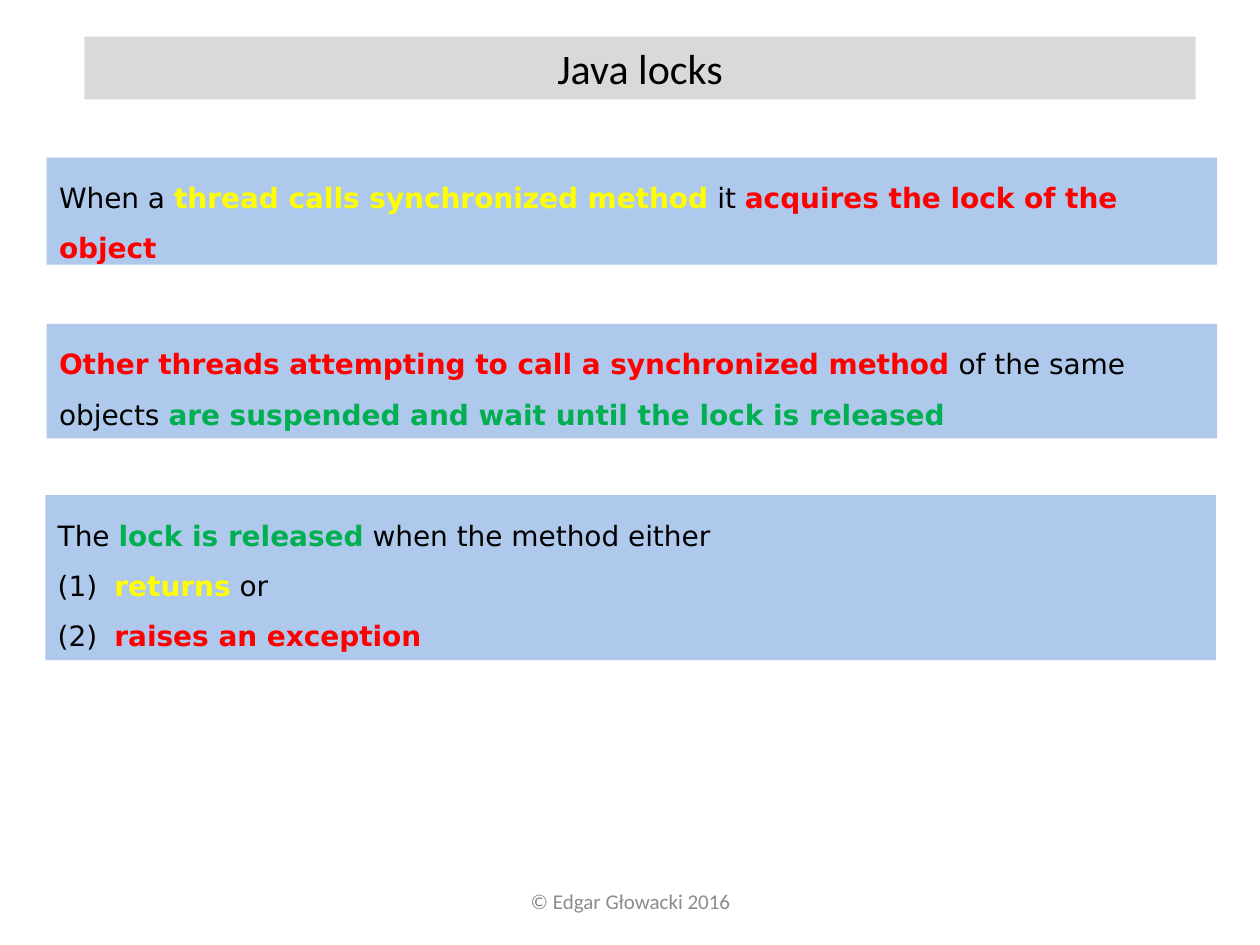
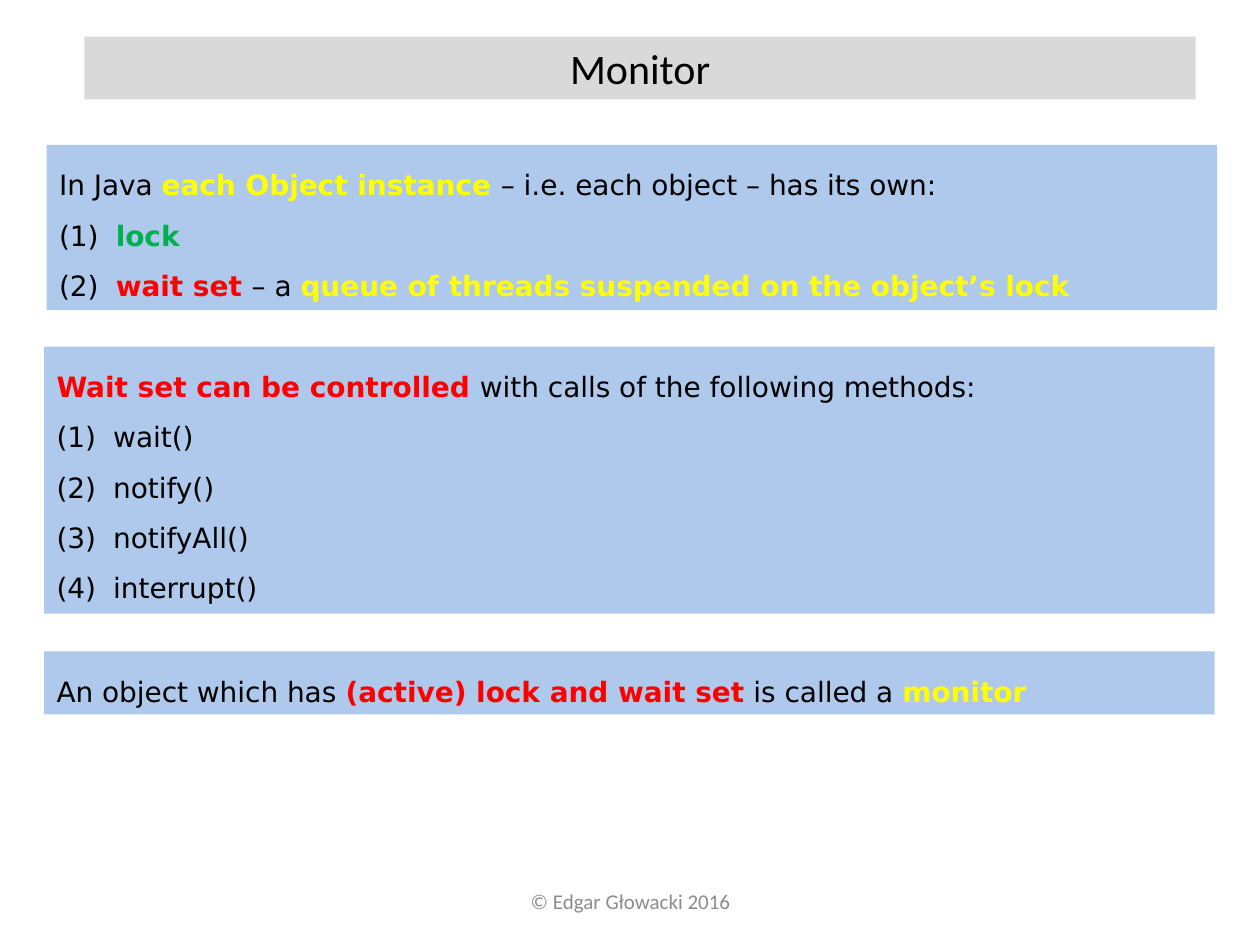
from lxml import etree
from pptx import Presentation
from pptx.dml.color import RGBColor
from pptx.enum.shapes import MSO_SHAPE
from pptx.enum.text import MSO_ANCHOR, MSO_AUTO_SIZE, PP_ALIGN
from pptx.oxml.ns import qn
from pptx.util import Inches, Pt

RECTANGLE = MSO_SHAPE.RECTANGLE
TOP, MIDDLE = MSO_ANCHOR.TOP, MSO_ANCHOR.MIDDLE
GROW_SHAPE = MSO_AUTO_SIZE.SHAPE_TO_FIT_TEXT
CENTER, LEFT = PP_ALIGN.CENTER, PP_ALIGN.LEFT

TITLE_FONT, BODY_FONT = "Calibri", "DejaVu Sans"
BLACK, GRAY, TITLE_FILL, PANEL_FILL = "000000", "8C8C8C", "D9D9D9", "8EB4E3"
YELLOW, RED, GREEN = "FFFF00", "FF0000", "00B050"
PANEL_OPACITY = 71
PANEL_WIDTH = 9.29
NUMBER_INDENT = 0.38

TITLE_BOX = (0.67, 0.29, 8.82, 0.5)
FOOTER_BOX = (3.42, 6.95, 3.17, 0.4)
FOOTER_TEXT = "© Edgar Głowacki 2016"

LOCK_PANELS = [
    ((0.37, 1.25, 0.85),
     [("When a ", BLACK), ("thread calls synchronized method", YELLOW),
      (" it ", BLACK), ("acquires the lock of the object", RED)], []),
    ((0.37, 2.57, 0.91),
     [("Other threads attempting to call a synchronized method", RED),
      (" of the same objects ", BLACK),
      ("are suspended and wait until the lock is released", GREEN)], []),
    ((0.36, 3.93, 1.31),
     [("The ", BLACK), ("lock is released", GREEN),
      (" when the method either", BLACK)],
     [[(" ", BLACK), ("returns", YELLOW), (" or", BLACK)],
      [(" ", BLACK), ("raises an exception", RED)]]),
]

MONITOR_PANELS = [
    ((0.37, 1.15, 1.31),
     [("In Java ", BLACK), ("each Object instance ", YELLOW),
      ("– i.e. each object – has its own:", BLACK)],
     [[(" ", BLACK), ("lock", GREEN)],
      [(" ", BLACK), ("wait set ", RED), ("– a ", BLACK),
       ("queue of threads suspended on the object’s lock", YELLOW)]]),
    ((0.35, 2.75, 2.12),
     [("Wait set can be controlled ", RED),
      ("with calls of the following methods:", BLACK)],
     [[(f" {method}()", BLACK)]
      for method in ("wait", "notify", "notifyAll", "interrupt")]),
    ((0.35, 5.17, 0.5),
     [("An object which has ", BLACK), ("(active) lock and wait set", RED),
      (" is called a ", BLACK), ("monitor", YELLOW)], []),
]


def color(value):
    return RGBColor.from_string(value)


def style_font(font, name, size, value, bold=False):
    font.name = name
    font.size = Pt(size)
    font.bold = bold
    font.color.rgb = color(value)


def add_band(page, box, fill):
    band = page.shapes.add_shape(RECTANGLE, *map(Inches, box))
    band.shadow.inherit = False
    band.fill.solid()
    band.fill.fore_color.rgb = color(fill)
    band.line.fill.background()
    frame = band.text_frame
    frame.word_wrap = True
    frame.auto_size = GROW_SHAPE
    frame.vertical_anchor = TOP
    return band


def write_line(frame, text, size, value):
    frame.text = text
    para = frame.paragraphs[0]
    para.alignment = CENTER
    style_font(para.runs[0].font, TITLE_FONT, size, value)


def add_title(page, text):
    write_line(add_band(page, TITLE_BOX, TITLE_FILL).text_frame, text, 24, BLACK)


def add_footer(page):
    frame = page.shapes.add_textbox(*map(Inches, FOOTER_BOX)).text_frame
    frame.word_wrap = True
    frame.vertical_anchor = MIDDLE
    write_line(frame, FOOTER_TEXT, 12, GRAY)


def set_opacity(shape, percent):
    fill_color = shape.fill._xPr.find(qn("a:solidFill"))[0]
    etree.SubElement(fill_color, qn("a:alpha"), val=str(percent * 1000))


def number_paragraph(para):
    properties = para._p.get_or_add_pPr()
    indent = Inches(NUMBER_INDENT)
    properties.set("marL", str(indent))
    properties.set("indent", str(-indent))
    etree.SubElement(properties, qn("a:buFont"), typeface="+mj-lt")
    etree.SubElement(properties, qn("a:buAutoNum"), type="arabicParenBoth")


def write_spans(para, spans):
    para.alignment = LEFT
    para.line_spacing = 1.5
    for text, value in spans:
        span = para.add_run()
        span.text = text
        style_font(span.font, BODY_FONT, 16, value, value != BLACK)


def add_panel(page, place, lead, items):
    left, top, height = place
    panel = add_band(page, (left, top, PANEL_WIDTH, height), PANEL_FILL)
    set_opacity(panel, PANEL_OPACITY)
    frame = panel.text_frame
    write_spans(frame.paragraphs[0], lead)
    for item in items:
        para = frame.add_paragraph()
        number_paragraph(para)
        write_spans(para, item)


def add_page(deck, title, panels):
    page = deck.slides.add_slide(deck.slide_layouts[6])
    add_footer(page)
    add_title(page, title)
    for place, lead, items in panels:
        add_panel(page, place, lead, items)


def main():
    deck = Presentation()
    deck.slide_width, deck.slide_height = Inches(10), Inches(7.5)
    add_page(deck, "Java locks", LOCK_PANELS)
    add_page(deck, "Monitor", MONITOR_PANELS)
    deck.save("out.pptx")


if __name__ == "__main__":
    main()
